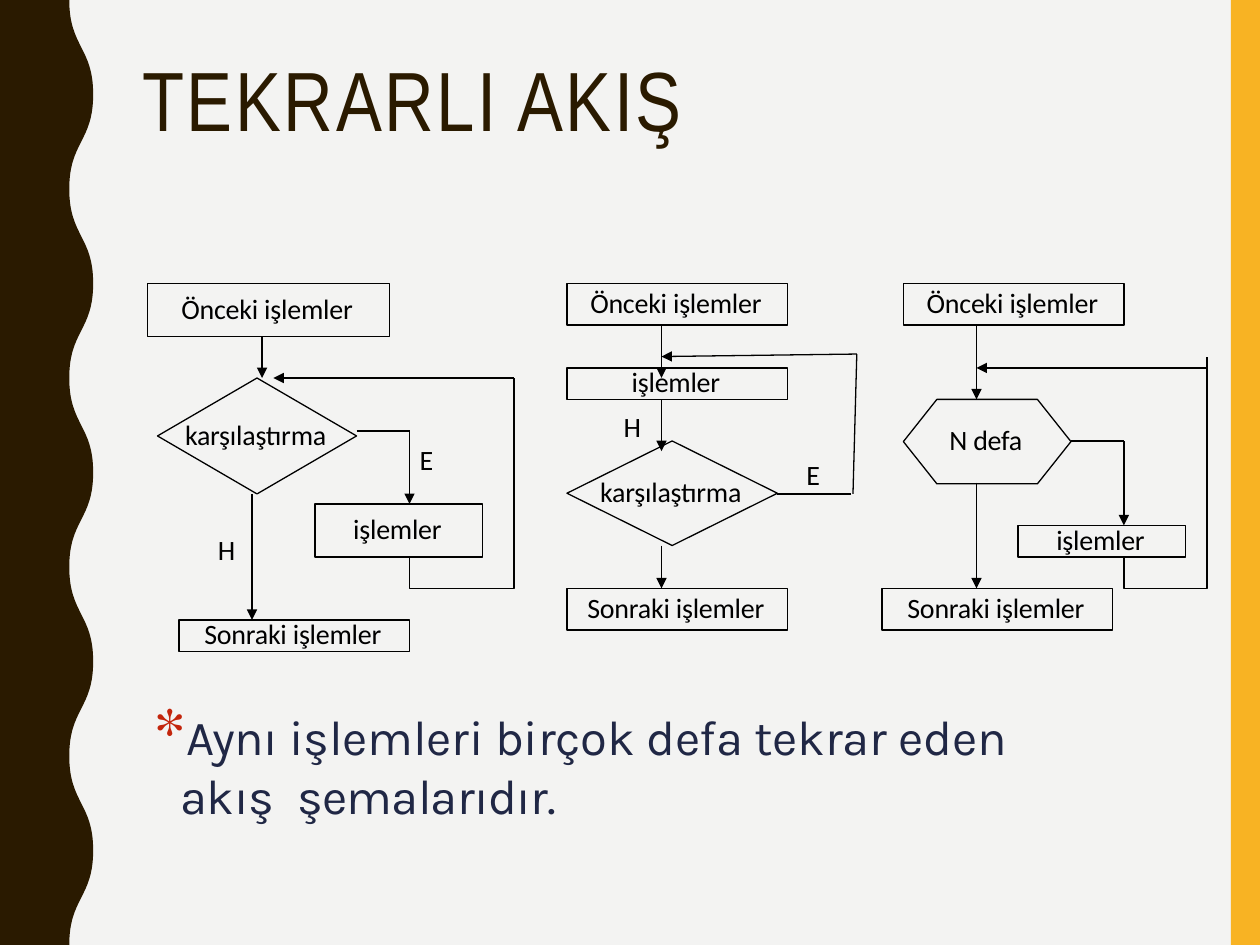
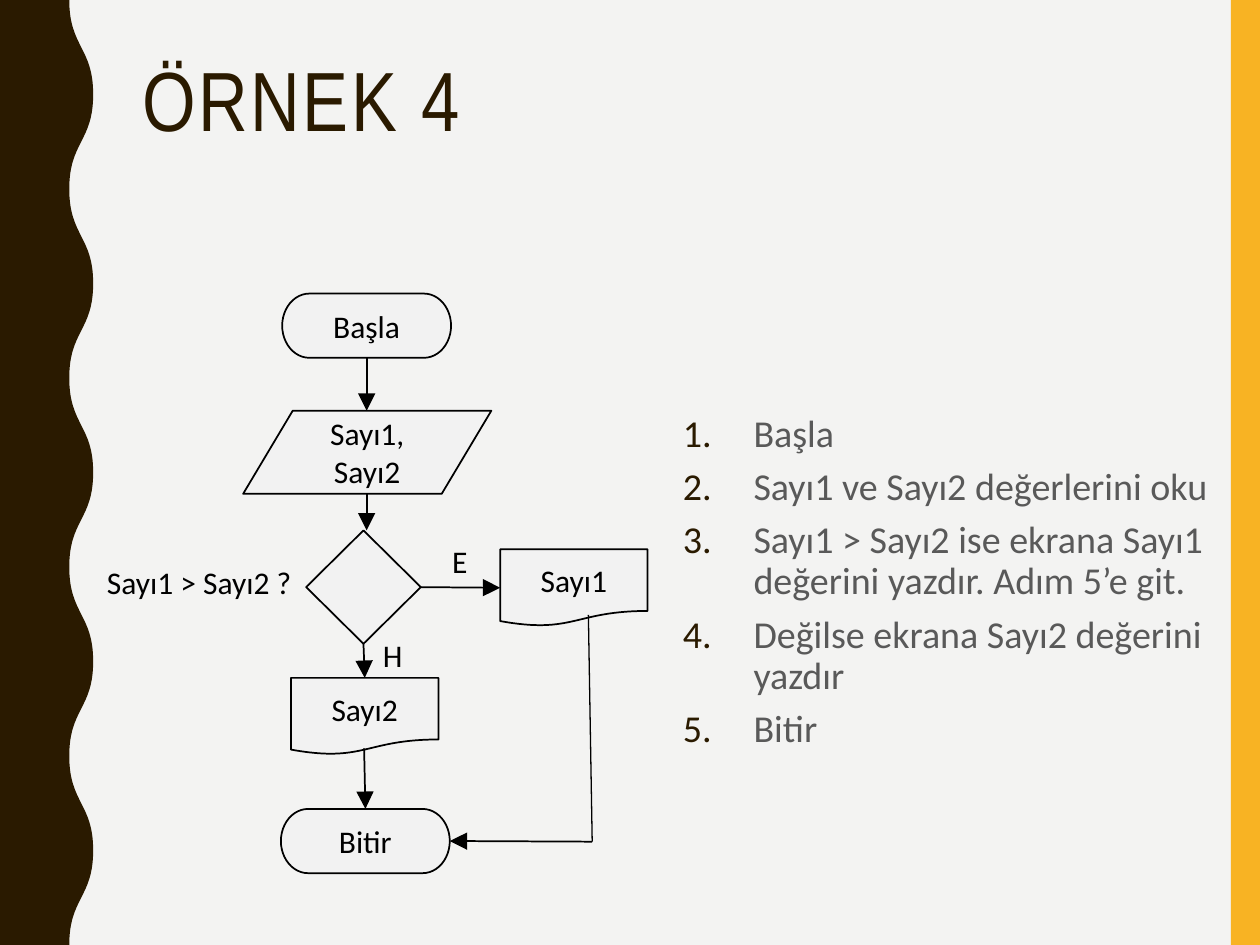
from lxml import etree
from pptx import Presentation
from pptx.dml.color import RGBColor
from pptx.enum.shapes import MSO_CONNECTOR, MSO_SHAPE
from pptx.enum.text import MSO_ANCHOR, MSO_AUTO_SIZE, PP_ALIGN
from pptx.oxml.ns import qn
from pptx.util import Inches, Pt

PAPER, BROWN, AMBER = "F3F3F2", "2A1A00", "F8B323"
BLACK, PALE, GREY, NAVY, RED = "000000", "F2F2F2", "595959", "202745", "C3250C"
TOP, LEFT, BOTTOM, RIGHT = range(4)


def rgb(color):
    return RGBColor.from_string(color)


def inches(*values):
    return [Inches(v) for v in values]


def write(p, text, size=16, font="Calibri", color=BLACK, spacing=0):
    """Add one run to a paragraph; spacing is in points."""
    r = p.add_run()
    r.text = text
    r.font.size, r.font.name, r.font.bold = Pt(size), font, False
    r.font.color.rgb = rgb(color)
    if spacing:
        r._r.get_or_add_rPr().set("spc", str(round(spacing * 100)))


def set_bullet(p, numbered, indent, hanging):
    pPr = p._p.get_or_add_pPr()
    pPr.set("marL", str(Inches(indent)))
    pPr.set("indent", str(-Inches(hanging)))
    if numbered:
        color = etree.SubElement(pPr, qn("a:buClr"))
        etree.SubElement(color, qn("a:srgbClr"), val=BROWN)
        etree.SubElement(pPr, qn("a:buAutoNum"), type="arabicPeriod")
    else:
        etree.SubElement(pPr, qn("a:buNone"))


def place(sp, left, top, width, height):
    sp.left, sp.top, sp.width, sp.height = inches(left, top, width, height)
    tf = sp.text_frame
    tf.word_wrap, tf.auto_size = True, MSO_AUTO_SIZE.NONE
    tf.vertical_anchor = MSO_ANCHOR.TOP
    return tf


def paint(sp, color):
    sp.shadow.inherit = False
    sp.fill.solid()
    sp.fill.fore_color.rgb = rgb(color)
    sp.line.fill.background()


def curve_to(segment, points):
    """Turn a straight outline segment into a Bezier curve through control points."""
    curve = etree.Element(qn("a:cubicBezTo"))
    for x, y in points:
        etree.SubElement(curve, qn("a:pt"), x=str(Inches(x)), y=str(Inches(y)))
    segment.getparent().replace(segment, curve)


def add_side_bands(prs, s):
    """Draw the bands on a slide and move them to the master, so all slides share them."""
    bar = s.shapes.add_shape(MSO_SHAPE.RECTANGLE, *inches(9.77, 0, 0.23, 7.5))
    paint(bar, AMBER)

    half_wave = 0.75
    edge = [((0.55, 0.74)[i % 2], half_wave * i) for i in range(11)]
    outline = s.shapes.build_freeform(*inches(*edge[0]))
    outline.add_line_segments([inches(*pt) for pt in edge[1:] + [(0, 7.5), (0, 0)]])
    wave = outline.convert_to_shape()
    paint(wave, BROWN)
    segments = list(wave._element.iter(qn("a:lnTo")))
    for segment, a, b in zip(segments, edge, edge[1:]):
        middle = (a[1] + b[1]) / 2
        curve_to(segment, [(a[0], middle), (b[0], middle), b])

    for sp in (wave, bar):
        prs.slide_master.shapes._spTree.insert(2, sp._element)


def add_slide(prs, title):
    s = prs.slides.add_slide(prs.slide_layouts[1])
    tf = place(s.shapes.title, 1.03, 0.42, 8.35, 1.63)
    p = tf.paragraphs[0]
    p.alignment, p.line_spacing = PP_ALIGN.LEFT, 0.9
    write(p, title, size=48, font="Arial Narrow", color=BROWN, spacing=1.5)
    return s


def add_step(s, kind, box, text="", fill=None, width=0.75, **fmt):
    """Add a flowchart symbol; without a fill it is an outline with tight text margins."""
    sp = s.shapes.add_shape(kind, *inches(*box))
    sp.shadow.inherit = False
    sp.line.color.rgb, sp.line.width = rgb(BLACK), Pt(width)
    tf = sp.text_frame
    tf.vertical_anchor = MSO_ANCHOR.MIDDLE
    if fill:
        sp.fill.solid()
        sp.fill.fore_color.rgb = rgb(fill)
        tf.word_wrap = True
    else:
        sp.fill.background()
        tf.word_wrap = False
        tf.margin_left = tf.margin_top = 0
        tf.margin_right, tf.margin_bottom = inches(0.02, 0.03)
    if text:
        p = tf.paragraphs[0]
        p.alignment = PP_ALIGN.CENTER
        write(p, text, **fmt)
    return sp


def add_label(s, box, text, margin=0, **fmt):
    sp = s.shapes.add_textbox(*inches(*box))
    tf = sp.text_frame
    tf.word_wrap = False
    tf.margin_left = tf.margin_right = Inches(margin)
    tf.margin_top = tf.margin_bottom = Inches(margin / 2)
    write(tf.paragraphs[0], text, **fmt)


def add_line(s, a, b, head=None, width=0.75, start=None, end=None):
    """Draw a line; head sizes its arrowhead, start and end are (shape, side)."""
    c = s.shapes.add_connector(MSO_CONNECTOR.STRAIGHT, *inches(*a, *b))
    c.line.color.rgb, c.line.width = rgb(BLACK), Pt(width)
    etree.SubElement(c._element.spPr, qn("a:effectLst"))
    if head:
        etree.SubElement(c.line._get_or_add_ln(), qn("a:tailEnd"),
                         type="triangle", w=head, len=head)
    if start:
        c.begin_connect(*start)
    if end:
        c.end_connect(*end)


def add_loop(s, *points):
    """Draw an open outline with corners."""
    outline = s.shapes.build_freeform(*inches(*points[0]))
    outline.add_line_segments([inches(*pt) for pt in points[1:]], close=False)
    sp = outline.convert_to_shape()
    sp.shadow.inherit = False
    sp.fill.background()
    sp.line.color.rgb, sp.line.width = rgb(BLACK), Pt(0.75)


def build_loops(s):
    tf = place(s.placeholders[1], 1.22, 5.49, 7.64, 1.08)
    tf.margin_left = tf.margin_bottom = 0
    tf.margin_right = Inches(0.3)
    p = tf.paragraphs[0]
    p.line_spacing, p.space_before = 0.95, Pt(3.3)
    set_bullet(p, False, 0.21, 0.2)
    write(p, "*", size=36, font="TeX Gyre Schola", color=RED, spacing=-0.3)
    for text, spacing in (("Aynı ", -0.3),
                          ("işlemleri birçok defa tekrar eden akış  ", -0.1),
                          ("şemalarıdır.", -0.4)):
        write(p, text, size=28, font="Karla", color=NAVY, spacing=spacing)

    before, work, after = "Önceki işlemler", "işlemler", "Sonraki işlemler"
    box, test = MSO_SHAPE.RECTANGLE, MSO_SHAPE.FLOWCHART_DECISION
    for kind, at, text in (
        # test first
        (box, (1.17, 2.25, 1.92, 0.42), before),
        (test, (1.25, 3, 1.58, 0.92), "karşılaştırma"),
        (box, (2.5, 4, 1.33, 0.42), work),
        (box, (1.42, 4.92, 1.83, 0.25), after),
        # test last
        (box, (4.5, 2.25, 1.75, 0.33), before),
        (box, (4.5, 2.92, 1.75, 0.25), work),
        (test, (4.5, 3.5, 1.67, 0.83), "karşılaştırma"),
        (box, (4.5, 4.67, 1.75, 0.33), after),
        # counted
        (box, (7.17, 2.25, 1.75, 0.33), before),
        (MSO_SHAPE.FLOWCHART_PREPARATION, (7.17, 3.17, 1.33, 0.67), "N defa"),
        (box, (8.08, 4.17, 1.33, 0.25), work),
        (box, (7, 4.67, 1.83, 0.33), after),
    ):
        add_step(s, kind, at, text, spacing=-0.1)

    for x, y1, y2 in ((2.08, 2.67, 3), (2, 3.92, 4.92), (3.25, 3.42, 4),
                      (5.25, 2.58, 3), (5.25, 3.17, 3.58), (5.25, 4.33, 4.67),
                      (7.75, 2.58, 3.17), (7.75, 3.83, 4.67), (8.92, 3.5, 4.17)):
        add_line(s, (x, y1), (x, y2), head="med")
    for a, b in (((4.08, 3), (2.17, 3)), ((6.8, 2.81), (5.25, 2.83)),
                 ((9.58, 2.92), (7.75, 2.92))):
        add_line(s, a, b, head="med")
    for a, b in (((2.83, 3.42), (3.25, 3.42)), ((6.17, 3.92), (6.75, 3.92)),
                 ((6.77, 3.92), (6.8, 2.81)), ((8.5, 3.5), (8.92, 3.5))):
        add_line(s, a, b)
    for left, right, top in ((3.25, 4.08, 3), (8.92, 9.58, 2.83)):
        add_loop(s, (left, 4.42), (left, 4.67), (right, 4.67), (right, top))

    for x, y, text in ((3.33, 3.51, "E"), (6.4, 3.63, "E"),
                       (1.73, 4.23, "H"), (4.95, 3.25, "H")):
        add_label(s, (x, y, 0.5, 0.28), text, spacing=-0.1)


def build_example(s):
    tf = place(s.placeholders[1], 4.54, 3.24, 5.48, 3.16)
    steps = ("Başla", "Sayı1 ve Sayı2 değerlerini oku",
             "Sayı1 > Sayı2 ise ekrana Sayı1 değerini yazdır. Adım 5’e git.",
             "Değilse ekrana Sayı2 değerini yazdır", "Bitir")
    for i, text in enumerate(steps):
        p = tf.add_paragraph() if i else tf.paragraphs[0]
        p.line_spacing, p.space_before = 0.9, Pt(7)
        set_bullet(p, True, 1.34, 0.56)
        write(p, text, size=21.7, color=GREY)

    def step(kind, box, text=""):
        return add_step(s, kind, box, text, fill=PALE, width=1, size=18)

    def arrow(a, b, **ends):
        add_line(s, a, b, head="lg", width=1, **ends)

    document, terminator = MSO_SHAPE.FLOWCHART_DOCUMENT, MSO_SHAPE.FLOWCHART_TERMINATOR
    step(MSO_SHAPE.FLOWCHART_DATA, (1.93, 3.26, 1.97, 0.66), "Sayı1, Sayı2")
    second = step(document, (2.31, 5.38, 1.17, 0.61), "Sayı2")
    test = step(MSO_SHAPE.FLOWCHART_DECISION, (2.43, 4.21, 0.91, 0.9))
    begin = step(terminator, (2.24, 2.33, 1.34, 0.51), "Başla")
    first = step(document, (3.97, 4.36, 1.17, 0.61), "Sayı1")
    finish = step(terminator, (2.23, 6.42, 1.34, 0.51), "Bitir")

    arrow((2.91, 2.84), (2.91, 3.26), start=(begin, BOTTOM))
    arrow((2.91, 3.92), (2.91, 4.21))
    arrow((2.89, 5.11), (2.89, 5.38), start=(test, BOTTOM), end=(second, TOP))
    arrow((2.89, 5.94), (2.9, 6.42), end=(finish, TOP))
    arrow((3.34, 4.66), (3.97, 4.66), start=(test, RIGHT), end=(first, LEFT))
    arrow((4.7, 6.68), (3.57, 6.68), end=(finish, RIGHT))
    add_line(s, (4.67, 4.88), (4.7, 6.68))

    for box, text in (((0.75, 4.42, 1.68, 0.4), "Sayı1 > Sayı2 ?"),
                      ((2.94, 5, 0.36, 0.4), "H"),
                      ((3.49, 4.25, 0.32, 0.4), "E")):
        add_label(s, box, text, margin=0.1, size=18)


def main():
    prs = Presentation()
    prs.slide_width, prs.slide_height = inches(10, 7.5)
    fill = prs.slide_master.background.fill
    fill.solid()
    fill.fore_color.rgb = rgb(PAPER)
    loops = add_slide(prs, "TEKRARLI AKIŞ")
    add_side_bands(prs, loops)
    build_loops(loops)
    build_example(add_slide(prs, "ÖRNEK 4"))
    prs.save("out.pptx")


if __name__ == "__main__":
    main()
